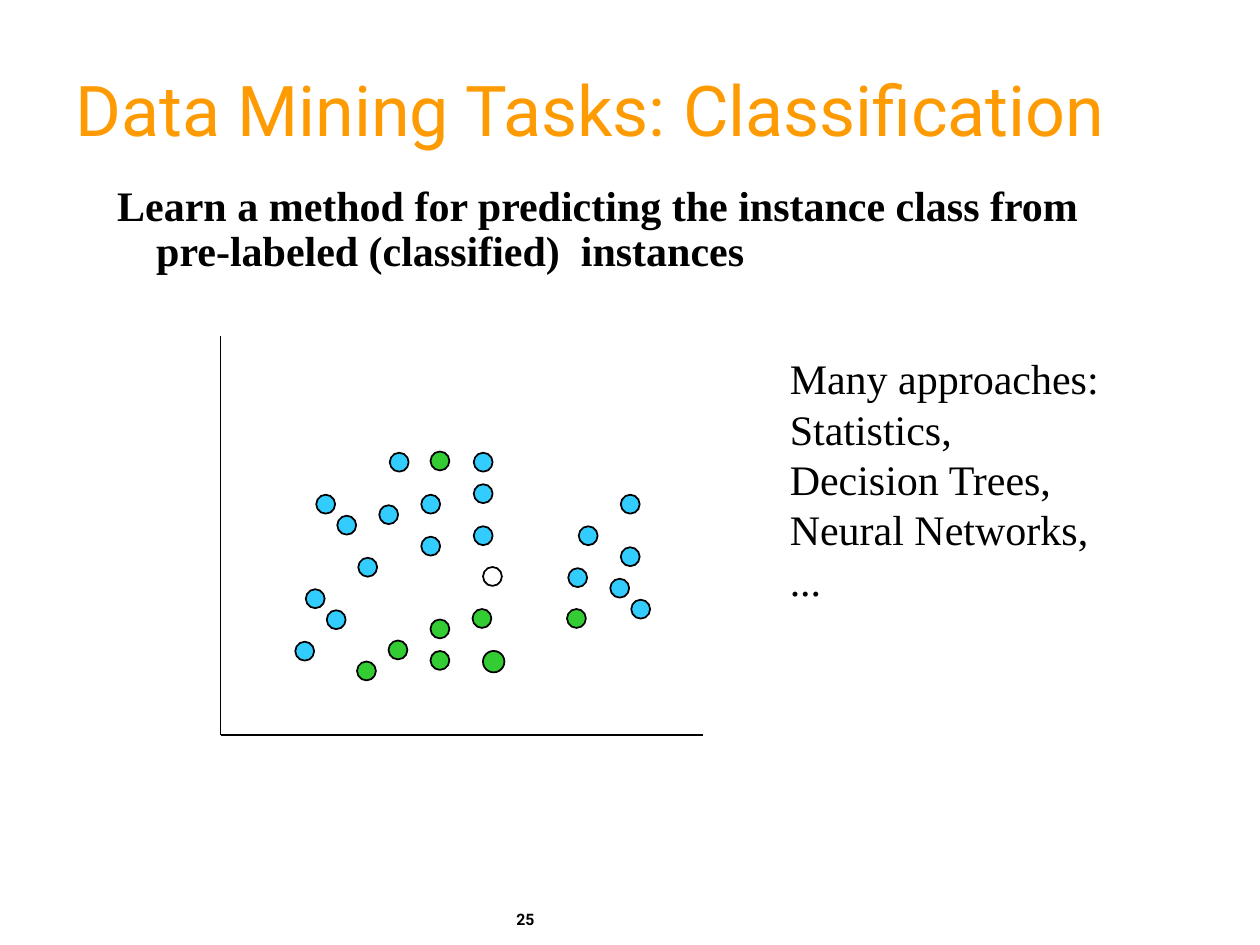
from typing import NamedTuple

from lxml import etree
from pptx import Presentation
from pptx.dml.color import RGBColor
from pptx.enum.shapes import MSO_CONNECTOR, MSO_SHAPE
from pptx.enum.text import MSO_ANCHOR, MSO_AUTO_SIZE, PP_ALIGN
from pptx.oxml.ns import qn
from pptx.util import Inches, Pt

STRAIGHT, ELLIPSE = MSO_CONNECTOR.STRAIGHT, MSO_SHAPE.OVAL
TOP, BOTTOM = MSO_ANCHOR.TOP, MSO_ANCHOR.BOTTOM
LEFT, NO_AUTOFIT = PP_ALIGN.LEFT, MSO_AUTO_SIZE.NONE

CELLS_PER_INCH = 12
DOT_SIZE = 0.15
BLUE, GREEN, WHITE, BLACK, ORANGE = "33CCFF", "33CC33", "FFFFFF", "000000", "FE9B03"
SERIF, SANS = "Times New Roman", "Roboto"

TITLE_FORMAT = {"name": SANS, "size": Pt(40), "bold": False}
LEAD_FORMAT = {"name": SERIF, "size": Pt(24), "bold": True}
NOTE_FORMAT = {"name": SERIF, "size": Pt(24), "bold": False}
NUMBER_FORMAT = {"name": SANS, "size": Pt(9), "bold": True}


class DotClass(NamedTuple):
    """Instances of one class, as (column, row) cells of the plot grid."""
    color: str
    nudge: float
    cells: list[tuple[int, int]]


class Area(NamedTuple):
    left: float
    top: float
    width: float
    height: float


DOT_CLASSES = [
    DotClass(BLUE, 0.01, [
        (30, 47), (32, 49), (36, 48), (40, 47), (29, 56), (45, 43), (34, 53),
        (40, 51), (45, 50), (31, 58), (28, 61), (37, 43), (45, 46), (59, 47),
        (55, 50), (54, 54), (58, 55), (60, 57), (59, 52)]),
    DotClass(GREEN, 0, [
        (34, 63), (37, 61), (41, 62), (41, 59), (45, 58), (41, 43), (54, 58)]),
    DotClass(WHITE, 0, [(46, 54)]),
]
LARGE_DOT_CELL, LARGE_DOT_SIZE = (46, 62), 0.17
AXES = [((21, 32), (21, 70)), ((21, 70), (67, 70))]


def rgb(color: str) -> RGBColor:
    return RGBColor.from_string(color)


def grid(cell: int) -> int:
    return Inches(cell / CELLS_PER_INCH)


def place(shape, area: Area) -> None:
    for side, inches in area._asdict().items():
        setattr(shape, side, Inches(inches))


def write(shape, lines: list[str], font: dict, color: str = BLACK,
          anchor=TOP, spacing: float = 1.0) -> None:
    frame = shape.text_frame
    frame.word_wrap = True
    frame.auto_size = NO_AUTOFIT
    frame.vertical_anchor = anchor
    frame.text = "\n".join(lines)
    for para in frame.paragraphs:
        para.alignment = LEFT
        para.line_spacing = spacing
        para.space_before = Pt(0)
        for span in para.runs:
            span.font.color.rgb = rgb(color)
            for name, value in font.items():
                setattr(span.font, name, value)


def add_text(slide, area: Area, lines: list[str], font: dict) -> None:
    box = slide.shapes.add_textbox(0, 0, 0, 0)
    place(box, area)
    write(box, lines, font)


def hang_without_bullet(para, indent: float) -> None:
    properties = para._p.get_or_add_pPr()
    properties.set("marL", str(Inches(indent)))
    properties.set("indent", str(Inches(-indent)))
    etree.SubElement(properties, qn("a:buNone"))


def add_axis(slide, start: tuple[int, int], end: tuple[int, int]) -> None:
    axis = slide.shapes.add_connector(STRAIGHT, *map(grid, start + end))
    axis.line.color.rgb = rgb(BLACK)
    axis.line.width = Pt(1)
    etree.SubElement(axis._element.spPr, qn("a:effectLst"))


def add_dot(slide, cell: tuple[int, int], color: str,
            size: float = DOT_SIZE, nudge: float = 0) -> None:
    left, top = (grid(index) + Inches(nudge) for index in cell)
    dot = slide.shapes.add_shape(ELLIPSE, left, top, Inches(size), Inches(size))
    dot.shadow.inherit = False
    dot.fill.solid()
    dot.fill.fore_color.rgb = rgb(color)
    dot.line.color.rgb = rgb(BLACK)
    dot.line.width = Pt(1)


def main() -> None:
    deck = Presentation()
    deck.slide_width, deck.slide_height = Inches(10), Inches(7.5)
    slide = deck.slides.add_slide(deck.slide_layouts[1])

    title, lead = slide.placeholders
    place(title, Area(0.5, 0.25, 9.08, 1))
    write(title, ["Data Mining Tasks: Classification"], TITLE_FORMAT,
          ORANGE, BOTTOM, 0.85)
    place(lead, Area(0.83, 1.42, 7.83, 0.82))
    write(lead, ["Learn a method for predicting the instance class from "
                 "pre-labeled (classified)  instances"], LEAD_FORMAT, spacing=0.9)
    hang_without_bullet(lead.text_frame.paragraphs[0], 0.31)

    for start, end in AXES:
        add_axis(slide, start, end)
    for group in DOT_CLASSES:
        for cell in group.cells:
            add_dot(slide, cell, group.color, nudge=group.nudge)
    add_dot(slide, LARGE_DOT_CELL, GREEN, LARGE_DOT_SIZE)

    add_text(slide, Area(6.17, 2.75, 3.17, 2.1),
             ["Many approaches: Statistics,", "Decision Trees, Neural Networks,", "..."],
             NOTE_FORMAT)
    add_text(slide, Area(4, 7.17, 1.02, 0.33), ["25"], NUMBER_FORMAT)
    deck.save("out.pptx")


if __name__ == "__main__":
    main()
